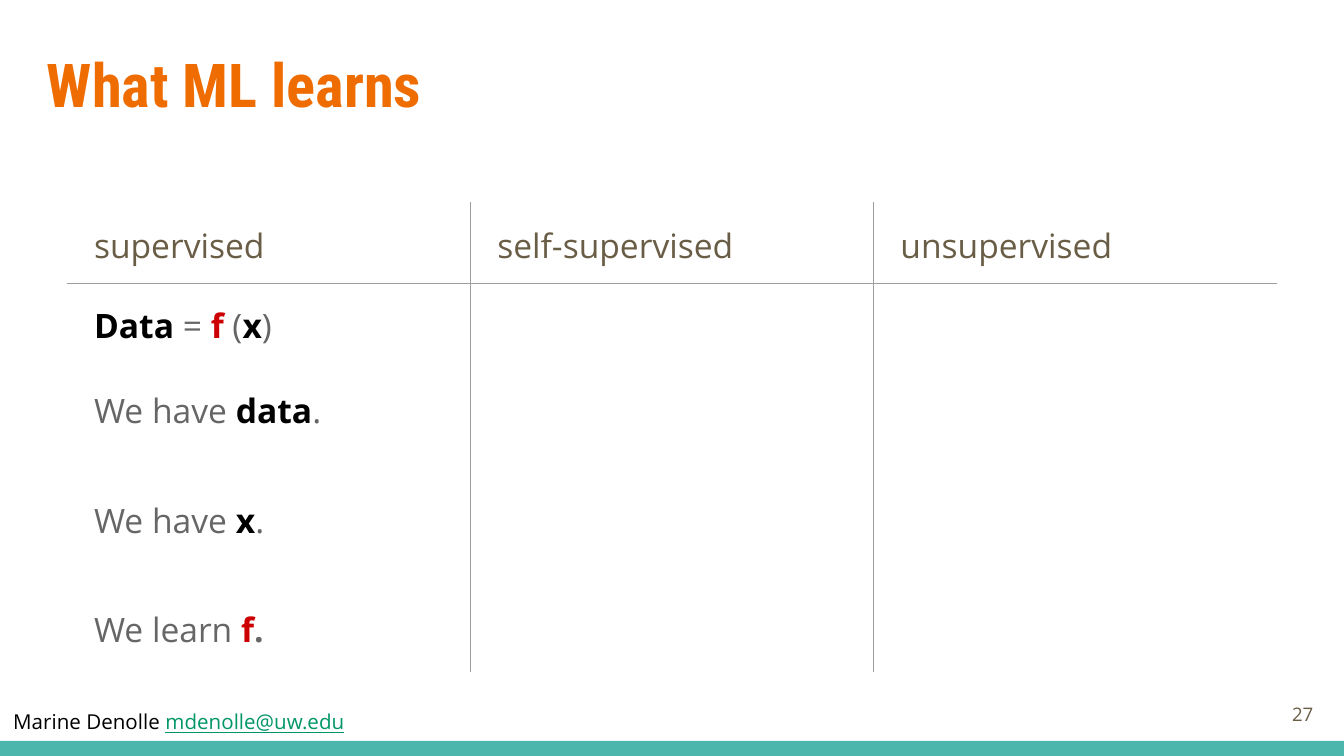
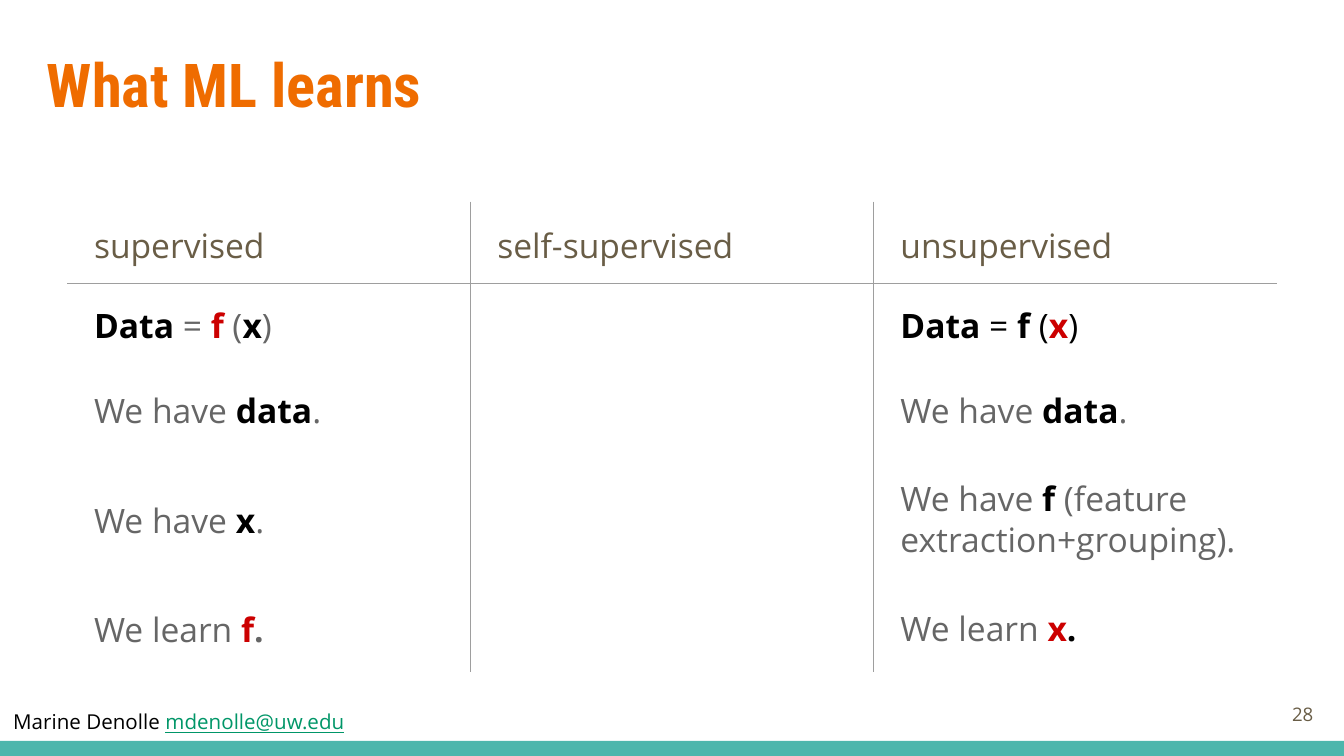
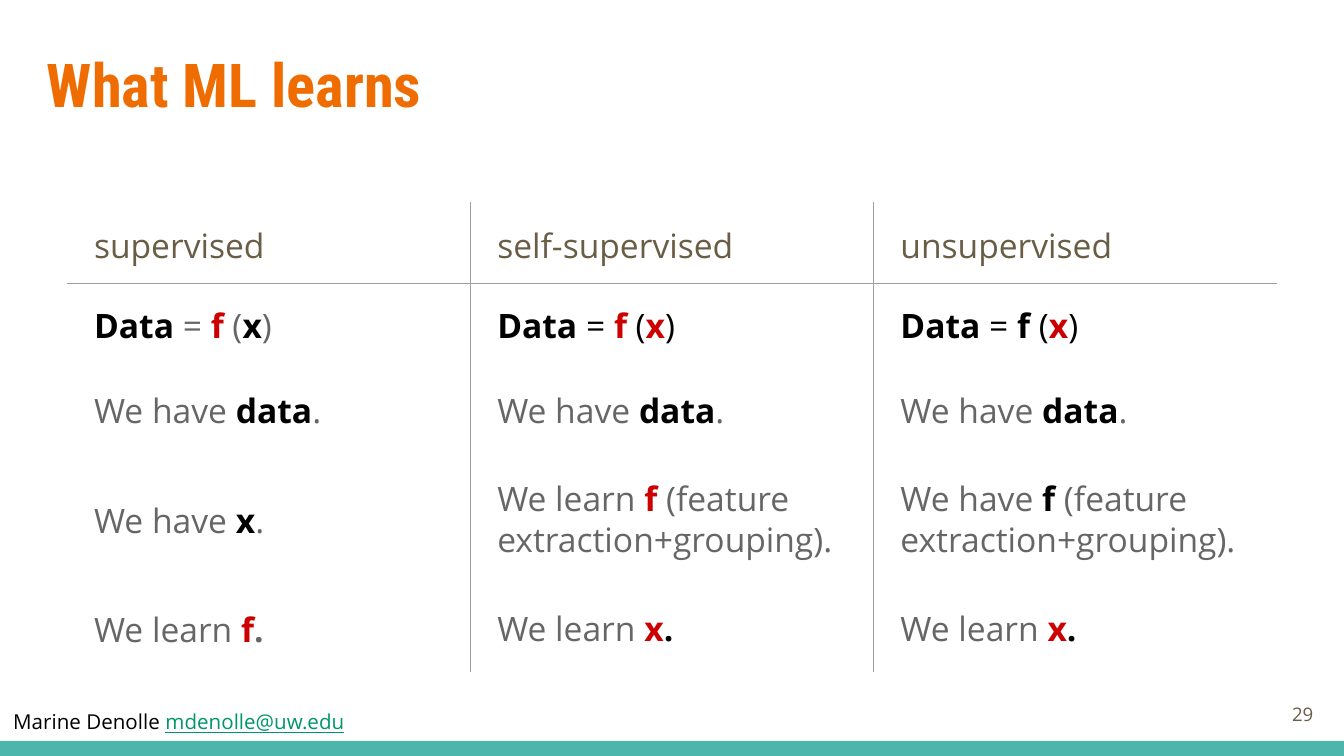
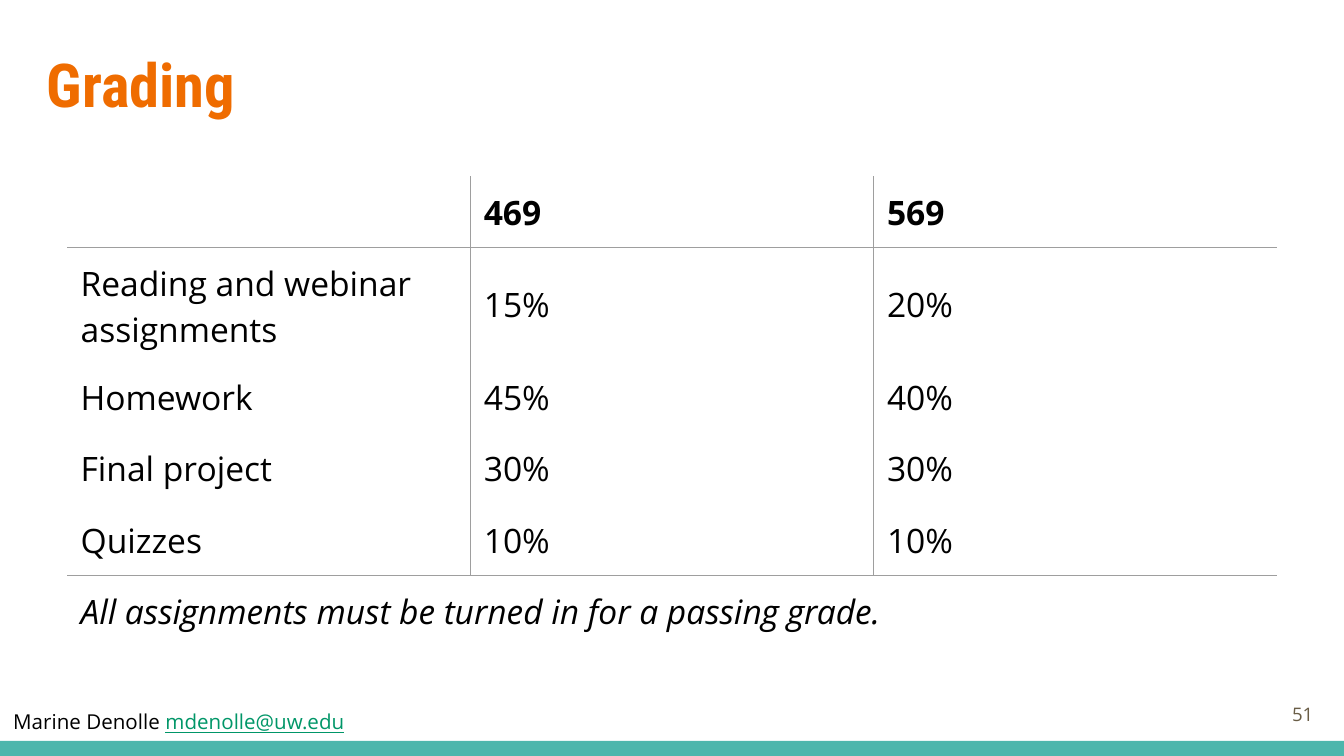
"""Build four lecture slides: three steps of a machine learning comparison and a grading table."""
from lxml.etree import SubElement
from pptx import Presentation
from pptx.dml.color import RGBColor
from pptx.enum.shapes import MSO_SHAPE as Shape
from pptx.enum.text import MSO_ANCHOR as Anchor, PP_ALIGN as Align
from pptx.oxml.ns import qn
from pptx.util import Inches, Pt

ORANGE = RGBColor(0xEF, 0x6C, 0x00)
TEAL = RGBColor(0x4D, 0xB6, 0xAC)
BROWN = RGBColor(0x69, 0x5D, 0x46)
GRAY = RGBColor(0x66, 0x66, 0x66)
RED = RGBColor(0xCC, 0x00, 0x00)
BLACK = RGBColor(0x00, 0x00, 0x00)
GREEN = RGBColor(0x00, 0x96, 0x68)
BORDER = RGBColor(0x9E, 0x9E, 0x9E)

WIDTH = Inches(10)
HEIGHT = WIDTH * 9 // 16
UNIT = WIDTH // 40
INSET = Inches(0.1)
NO_STYLE = "{2D5ABB26-0587-4C30-8999-92F81FD0307C}"

BODY = {"name": "Open Sans", "size": Pt(18)}
FOOTER = {"name": "Open Sans", "size": Pt(11)}
STYLES = {
    "title": {"name": "Roboto Condensed", "size": Pt(32.4), "bold": True, "color": ORANGE},
    "number": {"name": "Open Sans", "size": Pt(10), "color": BROWN},
    "author": {**FOOTER, "color": BLACK},
    "email": {**FOOTER, "underline": True, "color": GREEN},
    "heading": {**BODY, "color": BROWN},
    "plain": {**BODY, "bold": False, "color": GRAY},
    "strong": {**BODY, "bold": True, "color": GRAY},
    "black": {**BODY, "bold": False, "color": BLACK},
    "known": {**BODY, "bold": True, "color": BLACK},
    "learned": {**BODY, "bold": True, "color": RED},
    "note": {**BODY, "bold": False, "italic": True, "color": BLACK},
}

HAVE_DATA = [("We have ", "plain"), ("data", "known"), (".", "plain")]
LEARN_X = [("We learn ", "plain"), ("x", "learned"), (".", "known")]
FEATURES = ("(feature extraction+grouping).", "plain")
LEARNING_COLUMNS = [
    [[("supervised", "heading")],
     [("Data", "known"), (" = ", "plain"), ("f", "learned"), (" (", "plain"),
      ("x", "known"), (")", "plain")],
     HAVE_DATA,
     [("We have ", "plain"), ("x", "known"), (".", "plain")],
     [("We learn ", "plain"), ("f", "learned"), (".", "strong")]],
    [[("self-supervised", "heading")],
     [("Data", "known"), (" = ", "black"), ("f", "learned"), (" (", "black"),
      ("x", "learned"), (")", "black")],
     HAVE_DATA,
     [("We learn ", "plain"), ("f ", "learned"), FEATURES],
     LEARN_X],
    [[("unsupervised", "heading")],
     [("Data", "known"), (" = ", "black"), ("f", "known"), (" (", "black"),
      ("x", "learned"), (")", "black")],
     HAVE_DATA,
     [("We have ", "plain"), ("f ", "known"), FEATURES],
     LEARN_X],
]
LEARNING_ROWS = [0.61, 0.63, 0.63, 1, 0.63]
LEARNING_STEPS = [(27, {0}), (28, {0, 2}), (29, {0, 1, 2})]

GRADES = [
    ["", "469", "569"],
    ["Reading and webinar assignments", "15%", "20%"],
    ["Homework", "45%", "40%"],
    ["Final project", "30%", "30%"],
    ["Quizzes", "10%", "10%"],
    ["All assignments must be turned in for a passing grade.", "", ""],
]
GRADE_ROWS = [0.53, 0.85, 0.53, 0.53, 0.53, 0.53]
GRADE_STYLES = ["known", "black", "black", "black", "black", "note"]


def write_runs(paragraph, runs):
    """Add styled runs to a paragraph."""
    for text, style in runs:
        run = paragraph.add_run()
        run.text = text
        for key, value in STYLES[style].items():
            if key == "color":
                run.font.color.rgb = value
            else:
                setattr(run.font, key, value)


def add_ruled_table(slide, top, row_heights, rules, merged_row=None):
    """Add a three-column table with inner vertical lines and lines at the given row edges."""
    heights = [Inches(height) for height in row_heights]
    table = slide.shapes.add_table(
        len(heights), 3, UNIT * 2, top, UNIT * 36, sum(heights)).table
    table.first_row = table.horz_banding = False
    table._tbl.tblPr.find(qn("a:tableStyleId")).text = NO_STYLE
    for row, height in enumerate(heights):
        table.rows[row].height = height
        for column in range(3):
            cell = table.cell(row, column)
            cell.vertical_anchor = Anchor.MIDDLE
            cell.margin_left = cell.margin_right = INSET
            cell.margin_top = cell.margin_bottom = INSET
            divided = row != merged_row
            sides = {"L": divided and column > 0, "R": divided and column < 2,
                     "T": row in rules, "B": row + 1 in rules}
            for side, visible in sides.items():
                line = SubElement(cell._tc.get_or_add_tcPr(), qn(f"a:ln{side}"), w=str(Pt(0.75)))
                if visible:
                    fill = SubElement(line, qn("a:solidFill"))
                    SubElement(fill, qn("a:srgbClr"), val=str(BORDER))
                else:
                    SubElement(line, qn("a:noFill"))
            cell.fill.background()
    if merged_row is not None:
        table.cell(merged_row, 0).merge(table.cell(merged_row, 2))
    return table


presentation = Presentation()
presentation.slide_width = WIDTH
presentation.slide_height = HEIGHT

for number, shown_columns in LEARNING_STEPS:
    slide = presentation.slides.add_slide(presentation.slide_layouts[6])
    table = add_ruled_table(slide, UNIT * 6, LEARNING_ROWS, {1})
    for column, entries in enumerate(LEARNING_COLUMNS):
        for row, runs in enumerate(entries):
            if row > 0 and column not in shown_columns:
                continue
            paragraph = table.cell(row, column).text_frame.paragraphs[0]
            paragraph._p.get_or_add_pPr().set("marL", str(INSET))
            if row == 0:
                paragraph.line_spacing = 1.15
                paragraph.space_after = Pt(12)
            elif column > 0 and runs is not HAVE_DATA:
                paragraph.line_spacing = 0.9
            write_runs(paragraph, runs)

slide = presentation.slides.add_slide(presentation.slide_layouts[6])
table = add_ruled_table(slide, Inches(1.31), GRADE_ROWS, {1, 5}, merged_row=5)
for row, (texts, style) in enumerate(zip(GRADES, GRADE_STYLES)):
    for column, text in enumerate(texts):
        if text:
            write_runs(table.cell(row, column).text_frame.paragraphs[0], [(text, style)])

titles = ["What ML learns"] * 3 + ["Grading"]
numbers = [number for number, _ in LEARNING_STEPS] + [51]
for slide, title, number in zip(presentation.slides, titles, numbers):
    band_top = int(HEIGHT * 0.98)
    band = slide.shapes.add_shape(Shape.RECTANGLE, 0, band_top, WIDTH, HEIGHT - band_top)
    band.shadow.inherit = False
    band.fill.solid()
    band.fill.fore_color.rgb = TEAL
    band.line.fill.background()

    text_boxes = [
        ((UNIT, UNIT, UNIT * 38, UNIT * 3), [(title, "title")],
         {"margin_top": INSET}, Align.LEFT),
        ((Inches(9.27), Inches(5.1), Inches(0.6), Inches(0.43)), [(str(number), "number")],
         {"margin_top": INSET, "margin_bottom": INSET, "vertical_anchor": Anchor.MIDDLE},
         Align.RIGHT),
        ((0, Inches(5.23), Inches(2.94), Inches(0.47)),
         [("Marine Denolle ", "author"), ("mdenolle@uw.edu", "email")], {}, Align.LEFT),
    ]
    for place, runs, frame_format, alignment in text_boxes:
        frame = slide.shapes.add_textbox(*place).text_frame
        frame.word_wrap = True
        for key, value in frame_format.items():
            setattr(frame, key, value)
        paragraph = frame.paragraphs[0]
        paragraph.alignment = alignment
        write_runs(paragraph, runs)

presentation.save("out.pptx")
